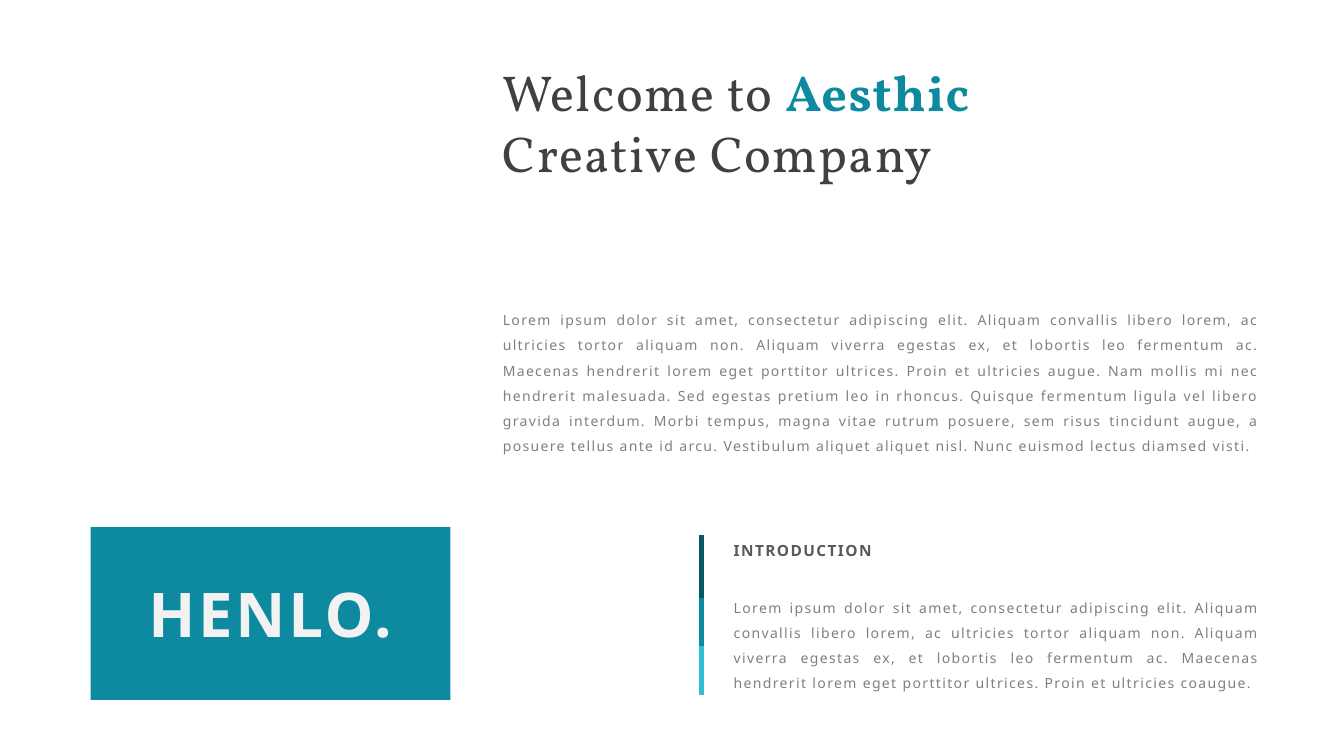
from dataclasses import dataclass
from itertools import pairwise

from lxml.etree import SubElement
from pptx import Presentation
from pptx.dml.color import RGBColor
from pptx.enum.shapes import MSO_CONNECTOR, MSO_SHAPE
from pptx.enum.text import MSO_AUTO_SIZE, PP_ALIGN
from pptx.oxml.ns import qn
from pptx.slide import Slide
from pptx.util import Pt

TEAL = RGBColor(0x0D, 0x89, 0xA0)
DARK_TEAL = RGBColor(0x09, 0x56, 0x63)
LIGHT_TEAL = RGBColor(0x31, 0xBF, 0xD8)
TITLE_GREY = RGBColor(0x40, 0x40, 0x40)
HEADING_GREY = RGBColor(0x59, 0x59, 0x59)
BODY_GREY = RGBColor(0x80, 0x80, 0x80)
OFF_WHITE = RGBColor(0xF2, 0xF2, 0xF2)

SANS = "Noto Sans"
SERIF = "Vollkorn"

MAIN_LEFT = 352.1
INTRO_LEFT = 517
RIGHT_EDGE = 906.5
BANNER_TOP = 376.6
BAR_X = 501.1
BAR_STOPS = (382.3, 427, 461.5, 496.1)
BAR_COLORS = (DARK_TEAL, TEAL, LIGHT_TEAL)

LOREM = (
    "Lorem ipsum dolor sit amet, consectetur adipiscing elit. Aliquam convallis "
    "libero lorem, ac ultricies tortor aliquam non. Aliquam viverra egestas ex, et "
    "lobortis leo fermentum ac. Maecenas hendrerit lorem eget porttitor ultrices. "
    "Proin et ultricies "
)
LONG_ENDING = (
    "augue. Nam mollis mi nec hendrerit malesuada. Sed egestas pretium leo in "
    "rhoncus. Quisque fermentum ligula vel libero gravida interdum. Morbi tempus, "
    "magna vitae rutrum posuere, sem risus tincidunt augue, a posuere tellus ante id "
    "arcu. Vestibulum aliquet aliquet nisl. Nunc euismod lectus diamsed visti."
)


@dataclass(frozen=True)
class TextRun:
    text: str
    color: RGBColor
    bold: bool = False


@dataclass(frozen=True)
class TextBlock:
    left: float
    top: float
    width: float
    height: float
    runs: tuple[TextRun, ...]
    size: float = 10
    font: str = SANS
    align: PP_ALIGN = PP_ALIGN.JUSTIFY
    line_spacing: float = 1.5
    letter_spacing: float = 1
    wrap: bool = True


TEXT_BLOCKS = (
    TextBlock(
        MAIN_LEFT, 40.3, 450, 94.3,
        (
            TextRun("Welcome to ", TITLE_GREY),
            TextRun("Aesthic", TEAL, bold=True),
            TextRun(" Creative Company", TITLE_GREY),
        ),
        size=36, font=SERIF, align=PP_ALIGN.LEFT, line_spacing=1,
    ),
    TextBlock(
        MAIN_LEFT, 213.1, RIGHT_EDGE - MAIN_LEFT, 114.5,
        (TextRun(LOREM + LONG_ENDING, BODY_GREY),),
    ),
    TextBlock(
        INTRO_LEFT, BANNER_TOP, 152.6, 25.2,
        (TextRun("INTRODUCTION", HEADING_GREY, bold=True),),
        size=11,
    ),
    TextBlock(
        INTRO_LEFT, 418.3, RIGHT_EDGE - INTRO_LEFT, 77.8,
        (TextRun(LOREM + "coaugue.", BODY_GREY),),
    ),
    TextBlock(
        95.8, 408.2, 194.4, 60.5,
        (TextRun("HENLO.", OFF_WHITE, bold=True),),
        size=44, align=PP_ALIGN.CENTER, line_spacing=1, letter_spacing=2, wrap=False,
    ),
)


def add_banner(slide: Slide) -> None:
    banner = slide.shapes.add_shape(
        MSO_SHAPE.RECTANGLE, Pt(64.8), Pt(BANNER_TOP), Pt(257), Pt(123.3)
    )
    banner.shadow.inherit = False
    banner.fill.solid()
    banner.fill.fore_color.rgb = TEAL
    banner.line.fill.background()


def add_bar_segment(slide: Slide, top: float, bottom: float, color: RGBColor) -> None:
    segment = slide.shapes.add_connector(
        MSO_CONNECTOR.STRAIGHT, Pt(BAR_X), Pt(top), Pt(BAR_X), Pt(bottom)
    )
    segment.line.color.rgb = color
    segment.line.width = Pt(4)
    SubElement(segment._element.spPr, qn("a:effectLst"))


def add_text(slide: Slide, block: TextBlock) -> None:
    box = slide.shapes.add_textbox(
        Pt(block.left), Pt(block.top), Pt(block.width), Pt(block.height)
    )
    frame = box.text_frame
    frame.word_wrap = block.wrap
    frame.auto_size = MSO_AUTO_SIZE.SHAPE_TO_FIT_TEXT
    paragraph = frame.paragraphs[0]
    paragraph.alignment = block.align
    paragraph.line_spacing = block.line_spacing
    for text_run in block.runs:
        run = paragraph.add_run()
        run.text = text_run.text
        run.font.name = block.font
        run.font.size = Pt(block.size)
        run.font.bold = text_run.bold
        run.font.color.rgb = text_run.color
        run.font._element.set("spc", str(round(block.letter_spacing * 100)))


def main() -> None:
    presentation = Presentation()
    presentation.slide_width = Pt(960)
    presentation.slide_height = Pt(540)
    slide = presentation.slides.add_slide(presentation.slide_layouts[6])

    add_banner(slide)
    for (top, bottom), color in zip(pairwise(BAR_STOPS), BAR_COLORS):
        add_bar_segment(slide, top, bottom, color)
    for block in TEXT_BLOCKS:
        add_text(slide, block)

    presentation.save("out.pptx")


if __name__ == "__main__":
    main()
